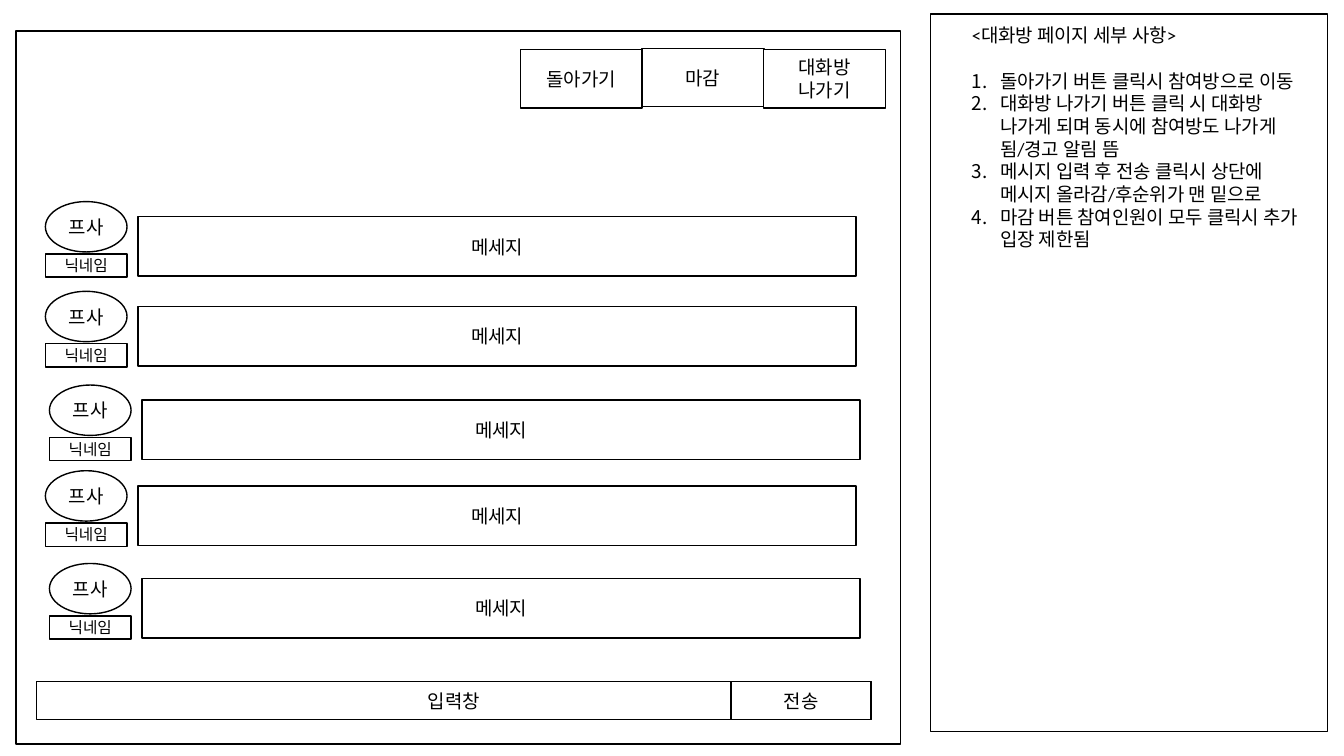
"""Draw the chat room wireframe with its page notes."""
from dataclasses import dataclass

from lxml import etree
from pptx import Presentation
from pptx import util as u
from pptx.dml.color import RGBColor
from pptx.enum import shapes, text
from pptx.oxml.ns import qn

RECT = shapes.MSO_SHAPE.RECTANGLE
OVAL = shapes.MSO_SHAPE.OVAL


@dataclass
class Theme:
    ink: str = "000000"
    paper: str = "FFFFFF"
    face: str = "Calibri"
    body: float = 13.5
    small: float = 11.2
    rule: float = 1
    gap: float = 16.2


class Page:
    cell = u.Inches(0.1)

    def __init__(self, slide, theme):
        self.slide, self.theme = slide, theme

    def span(self, *cells):
        return [round(n * self.cell) for n in cells]

    def apply(self, item, form):
        for key, val in form.items():
            setattr(item, key, val)

    def style(self, para, size):
        self.apply(para.font, {"name": self.theme.face, "size": u.Pt(size)})
        para.font.color.rgb = RGBColor.from_string(self.theme.ink)

    def box(self, x, y, w, h, label="", kind=RECT, size=None):
        shape = self.slide.shapes.add_shape(kind, *self.span(x, y, w, h))
        shape.shadow.inherit = False
        shape.fill.solid()
        shape.fill.fore_color.rgb = RGBColor.from_string(self.theme.paper)
        shape.line.color.rgb = RGBColor.from_string(self.theme.ink)
        shape.line.width = u.Pt(self.theme.rule)
        if label:
            frame = shape.text_frame
            self.apply(frame, {"word_wrap": True,
                               "vertical_anchor": text.MSO_ANCHOR.MIDDLE})
            para = frame.paragraphs[0]
            self.apply(para, {"text": label, "alignment": text.PP_ALIGN.CENTER})
            self.style(para, size or self.theme.body)

    def number(self, para, indent):
        props = para._p.get_or_add_pPr()
        props.set("marL", str(indent))
        props.set("indent", str(-indent))
        etree.SubElement(props, qn("a:buAutoNum"), type="arabicPeriod")

    def notes(self, x, y, w, h, title, items):
        frame = self.slide.shapes.add_textbox(*self.span(x, y, w, h)).text_frame
        self.apply(frame, {"word_wrap": True,
                           "auto_size": text.MSO_AUTO_SIZE.SHAPE_TO_FIT_TEXT})
        head = frame.paragraphs[0]
        self.apply(head, {"text": title, "space_after": u.Pt(self.theme.gap)})
        self.style(head, self.theme.body)
        for item in items:
            para = frame.add_paragraph()
            para.text = item
            self.style(para, self.theme.body)
            self.number(para, *self.span(2.8))

    def chat(self, x, y):
        self.box(x, y, 8.1, 5, "프사", OVAL)
        self.box(x, y + 5.2, 8.1, 2.3, "닉네임", size=self.theme.small)
        self.box(x + 9.2, y + 1.5, 71.2, 5.9, "메세지")


def main():
    deck = Presentation()
    deck.slide_width, deck.slide_height = u.Inches(13.33), u.Inches(7.5)
    page = Page(deck.slides.add_slide(deck.slide_layouts[6]), Theme())

    page.box(92.3, 1.4, 39.4, 71.2)
    page.notes(95.4, 1.9, 34.4, 26, "<대화방 페이지 세부 사항>", [
        "돌아가기 버튼 클릭시 참여방으로 이동",
        "대화방 나가기 버튼 클릭 시 대화방 나가게 되며 동시에 참여방도 나가게 됨/경고 알림 뜸",
        "메시지 입력 후 전송 클릭시 상단에 메시지 올라감/후순위가 맨 밑으로",
        "마감 버튼 참여인원이 모두 클릭시 추가 입장 제한됨",
    ])

    page.box(1.6, 3.1, 87.7, 70.7)
    tabs = [("돌아가기", 4.9), ("마감", 4.8), ("대화방\v나가기", 4.9)]
    for col, (label, top) in enumerate(tabs):
        page.box(51.6 + col * 12.06, top, 12.1, 5.8, label)

    for x, y in [(4.5, 20), (4.5, 28.9), (4.9, 38.2), (4.5, 46.7), (4.9, 55.9)]:
        page.chat(x, y)

    page.box(3.6, 67.6, 82.8, 3.8, "입력창")
    page.box(72.5, 67.6, 13.9, 3.8, "전송")
    deck.save("out.pptx")


if __name__ == "__main__":
    main()
